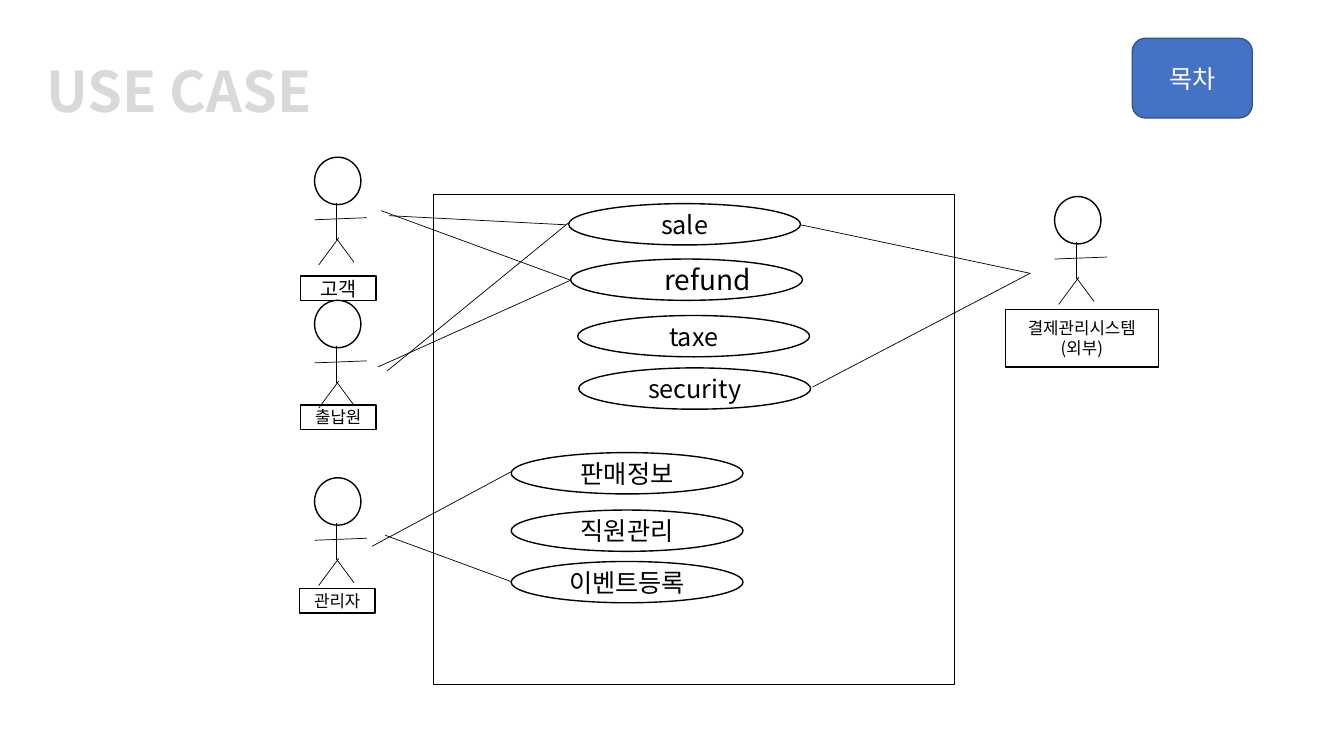
from pptx import Presentation
from pptx.dml.color import RGBColor
from pptx.enum.shapes import MSO_CONNECTOR, MSO_SHAPE as SHAPE
from pptx.enum.text import MSO_ANCHOR, PP_ALIGN
from pptx.oxml.ns import qn
from pptx.util import Inches, Pt
from lxml.etree import SubElement

FONT = "Noto Sans CJK KR"

deck = Presentation()
deck.slide_width, deck.slide_height = Inches(13.33), Inches(7.5)
page = deck.slides.add_slide(deck.slide_layouts[6])


def color(value):
    return RGBColor.from_string(value)


def write(box, text, size, ink="000000", bold=False, anchor=MSO_ANCHOR.MIDDLE):
    frame = box.text_frame
    frame.text = text
    frame.word_wrap = True
    frame.vertical_anchor = anchor
    frame.margin_top = frame.margin_bottom = Inches(0.05)
    for para in frame.paragraphs:
        para.alignment = PP_ALIGN.CENTER
        for span in para.runs:
            span.font.size = Pt(size)
            span.font.bold = bold
            span.font.name = FONT
            span.font.color.rgb = color(ink)
            SubElement(span.font._element, qn("a:ea"), typeface=FONT)


ACTOR_TOPS = [(3.12, 1.56), (3.12, 2.98), (3.12, 4.74), (10.46, 1.95)]
LIMBS = [
    (0.22, 0.45, 0.22, 0.82),
    (0.24, 0.8, 0.04, 1.07),
    (0.22, 0.81, 0.39, 1.04),
    (0, 0.62, 0.52, 0.6),
]
USE_CASES = [
    (5.64, 2.02, "sale", 18),
    (5.66, 2.57, "refund", 20),
    (5.73, 3.13, "taxe", 18),
    (5.74, 3.65, "security", 18),
    (5.07, 4.49, "판매정보", 18),
    (5.07, 5.06, "직원관리", 18),
    (5.07, 5.57, "이벤트등록", 18),
]
ACTOR_LABELS = [
    (2.98, 2.74, 0.75, 0.24, "고객", 14),
    (2.98, 4.02, 0.75, 0.24, "출납원", 12),
    (2.97, 5.84, 0.75, 0.24, "관리자", 12),
    (9.97, 3.07, 1.52, 0.57, "결제관리시스템\n(외부)", 12),
]
ASSOCIATIONS = [
    (3.78, 2.09, 5.66, 2.78),
    (3.75, 3.64, 5.66, 2.78),
    (3.84, 3.68, 5.64, 2.21),
    (3.86, 2.14, 5.61, 2.23),
    (3.69, 5.42, 5.07, 4.68),
    (3.82, 5.31, 5.07, 5.77),
    (7.94, 2.23, 10.21, 2.71),
    (8.06, 3.84, 10.22, 2.71),
]

outlines = [(SHAPE.RECTANGLE, 4.3, 1.93, 5.17, 4.86, "", 18)]
outlines += [(SHAPE.OVAL, x, y, 0.46, 0.47, "", 18) for x, y in ACTOR_TOPS]
outlines += [(SHAPE.OVAL, x, y, 2.3, 0.41, text, size) for x, y, text, size in USE_CASES]
outlines += [(SHAPE.RECTANGLE, *label) for label in ACTOR_LABELS]

for kind, left, top, width, height, text, size in outlines:
    box = page.shapes.add_shape(kind, Inches(left), Inches(top), Inches(width), Inches(height))
    box.shadow.inherit = False
    box.fill.background()
    box.line.color.rgb = color("000000")
    box.line.width = Pt(1)
    if text:
        write(box, text, size)
    if text == "refund":
        properties = box.text_frame.paragraphs[0]._p.get_or_add_pPr()
        properties.set("marL", str(Inches(0.42)))

limbs = [(x + x1, y + y1, x + x2, y + y2) for x, y in ACTOR_TOPS for x1, y1, x2, y2 in LIMBS]
for ends in limbs + ASSOCIATIONS:
    line = page.shapes.add_connector(MSO_CONNECTOR.STRAIGHT, *map(Inches, ends))
    line.line.color.rgb = color("000000")
    line.line.width = Pt(0.5)
    SubElement(line._element.spPr, qn("a:effectLst"))

title = page.shapes.add_textbox(Inches(-0.42), Inches(0.18), Inches(4.39), Inches(1.1))
write(title, "USE CASE", 40, "D9D9D9", True, MSO_ANCHOR.BOTTOM)
title.text_frame.paragraphs[0].line_spacing = 0.85

button = page.shapes.add_shape(
    SHAPE.ROUNDED_RECTANGLE, Inches(11.23), Inches(0.38), Inches(1.19), Inches(0.79))
button.shadow.inherit = False
button.fill.solid()
button.fill.fore_color.rgb = color("4472C4")
button.line.color.rgb = color("325491")
button.line.width = Pt(1)
write(button, "목차", 18, "FFFFFF")

deck.save("out.pptx")
